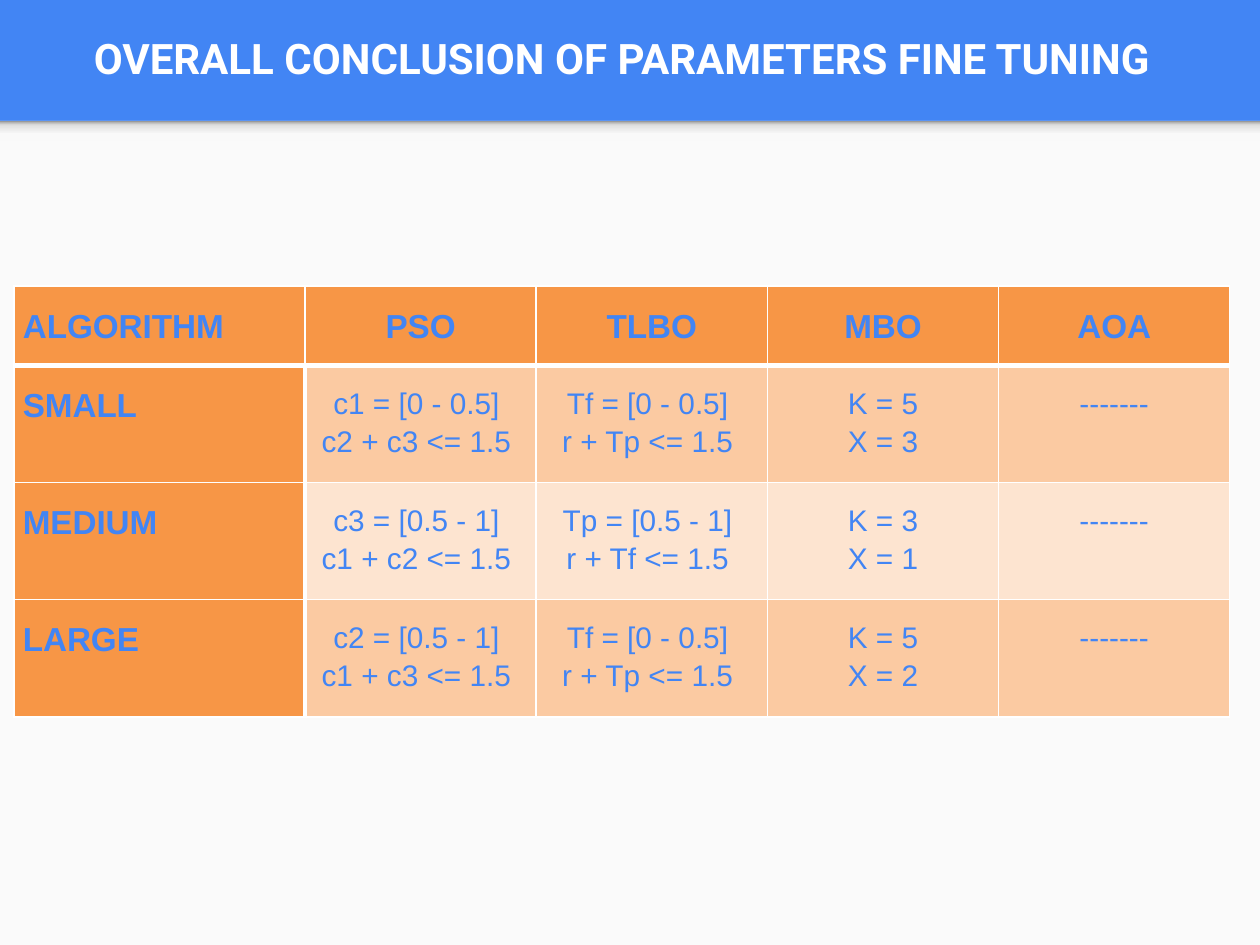
from copy import deepcopy

from lxml import etree
from pptx import Presentation
from pptx import util as u
from pptx.dml.color import RGBColor
from pptx.enum import shapes, text
from pptx.oxml import ns

BLUE = RGBColor(0x42, 0x85, 0xF4)
WHITE = RGBColor(0xFF, 0xFF, 0xFF)
PAPER = RGBColor(0xFA, 0xFA, 0xFA)
ORANGE = RGBColor(0xF7, 0x96, 0x46)
PEACH = RGBColor(0xFB, 0xCA, 0xA2)
CREAM = RGBColor(0xFD, 0xE4, 0xD0)
SHADE = [
    (0, RGBColor(0xF9, 0xF9, 0xF9)),
    (0.36, RGBColor(0xF9, 0xF9, 0xF9)),
    (0.8, RGBColor(0xDE, 0xDE, 0xDE)),
    (1, RGBColor(0x99, 0x99, 0x99)),
]
HEADINGS = ["ALGORITHM", "PSO", "TLBO", "MBO", "AOA"]
SIZES = [
    ["SMALL", "c1 = [0 - 0.5] \nc2 + c3 <= 1.5 ",
     "Tf = [0 - 0.5] \nr + Tp <= 1.5 ", "K = 5\nX = 3", "-------"],
    ["MEDIUM", "c3 = [0.5 - 1] \nc1 + c2 <= 1.5 ",
     "Tp = [0.5 - 1] \nr + Tf <= 1.5 ", "K = 3\nX = 1", "-------"],
    ["LARGE", "c2 = [0.5 - 1] \nc1 + c3 <= 1.5 ",
     "Tf = [0 - 0.5] \nr + Tp <= 1.5 ", "K = 5\nX = 2", "-------"],
]


class Deck:
    title_font = "Roboto"
    table_font = "Arial"

    def __init__(self):
        self.show = Presentation()
        self.show.slide_width = u.Cm(25.4)
        self.show.slide_height = u.Cm(19.05)
        self.slide = self.show.slides.add_slide(self.show.slide_layouts[6])

    def background(self, color):
        self.slide.background.fill.solid()
        self.slide.background.fill.fore_color.rgb = color

    def panel(self, *box):
        panel = self.slide.shapes.add_shape(
            shapes.MSO_SHAPE.RECTANGLE, *map(u.Cm, box))
        panel.shadow.inherit = False
        panel.line.fill.background()
        panel.fill.solid()
        panel.fill.fore_color.rgb = PAPER
        return panel

    def shade(self, *box):
        band = self.panel(*box)
        band.fill.gradient()
        band.fill.gradient_angle = 90
        stop_list = band._element.spPr.find(".//" + ns.qn("a:gsLst"))
        for _ in range(len(SHADE) - len(stop_list)):
            stop_list.append(deepcopy(stop_list[0]))
        for stop, (position, color) in zip(band.fill.gradient_stops, SHADE):
            stop.position = position
            stop.color.rgb = color

    def add_words(self, paragraph, words, font, size, color, bold, align):
        paragraph.alignment = align
        run = paragraph.add_run()
        run.text = words
        run.font.name = font
        run.font.size = u.Pt(size)
        run.font.bold = bold
        run.font.color.rgb = color

    def title(self, words, *box):
        frame = self.slide.shapes.add_textbox(*map(u.Cm, box)).text_frame
        frame.word_wrap = True
        frame.vertical_anchor = text.MSO_ANCHOR.MIDDLE
        self.add_words(frame.paragraphs[0], words, self.title_font, 24, WHITE,
                       True, text.PP_ALIGN.CENTER)

    def border(self, cell, side, points):
        properties = cell._tc.get_or_add_tcPr()
        line = etree.SubElement(properties, ns.qn(f"a:ln{side}"), w=str(u.Pt(points)))
        fill = etree.SubElement(line, ns.qn("a:solidFill"))
        etree.SubElement(fill, ns.qn("a:srgbClr"), val=str(WHITE))

    def cell(self, cell, words, row, column):
        heading = row == 0 or column == 0
        thick = {"L": row and column == 1, "R": row and column == 0,
                 "T": row == 1, "B": row == 0}
        for side, is_thick in thick.items():
            self.border(cell, side, 3 if is_thick else 1)
        cell.fill.solid()
        cell.fill.fore_color.rgb = ORANGE if heading else PEACH if row % 2 else CREAM
        cell.margin_left = cell.margin_right = u.Cm(0.18)
        cell.margin_top = cell.margin_bottom = u.Cm(0.33)
        frame = cell.text_frame
        lines = words.split("\n")
        for index, line in enumerate(lines):
            paragraph = frame.add_paragraph() if index else frame.paragraphs[0]
            paragraph.line_spacing = 1.15
            paragraph.space_before = u.Pt(18 if len(lines) == 1 else 0)
            self.add_words(paragraph, line, self.table_font, 19 if heading else 17, BLUE,
                           heading, text.PP_ALIGN.CENTER if column else text.PP_ALIGN.LEFT)

    def table(self, rows, widths, heights, left, top):
        box = (left, top, sum(widths), sum(heights))
        table = self.slide.shapes.add_table(
            len(rows), len(widths), *map(u.Cm, box)).table
        for column, width in zip(table.columns, widths):
            column.width = u.Cm(width)
        for row, height in zip(table.rows, heights):
            row.height = u.Cm(height)
        for r, row in enumerate(rows):
            for c, words in enumerate(row):
                self.cell(table.cell(r, c), words, r, c)


def main():
    deck = Deck()
    deck.background(BLUE)
    deck.panel(0, 2.44, 25.4, 16.61)
    deck.shade(0, 2.44, 25.4, 0.41)
    deck.title("OVERALL CONCLUSION OF PARAMETERS FINE TUNING", 0.28, 0.05, 24.51, 2.24)
    deck.table([HEADINGS] + SIZES, [5.87] + [4.66] * 4, [1.6] + [2.36] * 3, 0.28, 5.77)
    deck.show.save("out.pptx")


if __name__ == "__main__":
    main()
